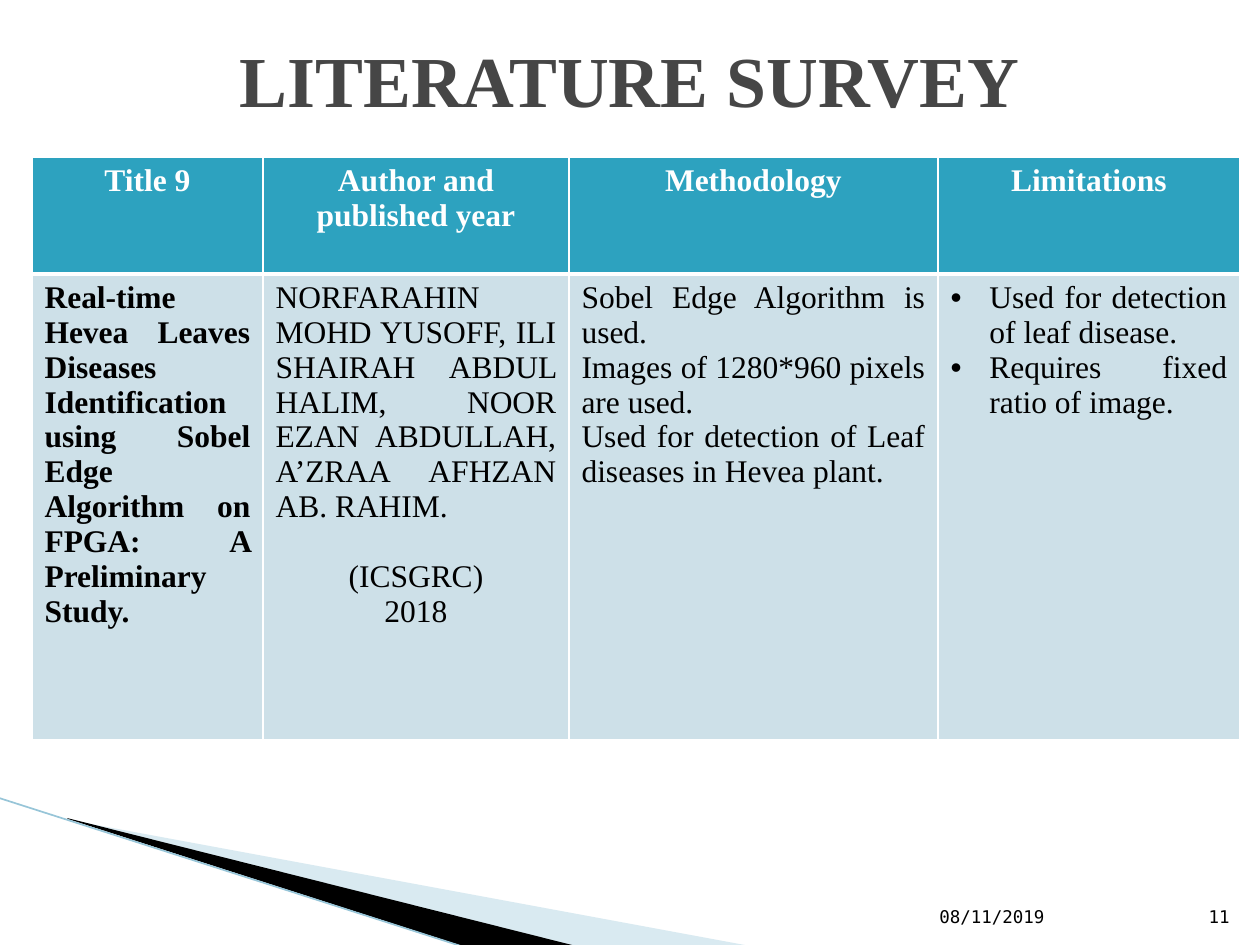
"""Build the literature survey slide with its table and corner swoosh."""
from lxml import etree
from pptx import Presentation
from pptx.dml.color import RGBColor
from pptx.enum.shapes import MSO_CONNECTOR
from pptx.enum.text import MSO_ANCHOR, PP_ALIGN
from pptx.oxml.ns import qn
from pptx.util import Emu, Pt

LEFT, CENTER, RIGHT, JUSTIFY = PP_ALIGN.LEFT, PP_ALIGN.CENTER, PP_ALIGN.RIGHT, PP_ALIGN.JUSTIFY
MIDDLE, BOTTOM = MSO_ANCHOR.MIDDLE, MSO_ANCHOR.BOTTOM
STRAIGHT = MSO_CONNECTOR.STRAIGHT
SCALE = 914400 / 126
SERIF, MONO = "Times New Roman", "DejaVu Sans Mono"
WHITE, BLACK = "FFFFFF", "000000"

TITLE = "LITERATURE SURVEY"
HEADERS = ["Title 9", "Author and published year", "Methodology", "Limitations"]
STUDY = [
    [("Real-time Hevea Leaves Diseases Identification using Sobel Edge Algorithm "
      "on FPGA: A Preliminary Study. ", {"bold": True})],
    [("NORFARAHIN MOHD YUSOFF, ILI SHAIRAH ABDUL HALIM, NOOR EZAN ABDULLAH, "
      "A’ZRAA AFHZAN AB. RAHIM. ", {}),
     ("(ICSGRC)", {"align": CENTER, "before": 20}),
     ("2018", {"align": CENTER})],
    [("Sobel Edge Algorithm is used.", {}),
     ("Images of 1280*960 pixels are used.", {}),
     ("Used for detection of Leaf diseases in Hevea plant.", {})],
    [("Used for detection of leaf disease.", {"bullet": True}),
     ("Requires fixed ratio of image.", {"bullet": True})],
]
COLUMN_WIDTHS = [231, 306, 369, 302]
ROW_HEIGHTS = [117, 466]
FOOTERS = [("11", (1192, 883, 50, 50), RIGHT), ("08/11/2019", (927, 883, 265, 50), LEFT)]
SWOOSHES = [
    ([(69, 820), (750, 946), (575, 946), (69, 819)], "A0CBDC", 40),
    ([(67, 818), (576, 946), (469, 948), (68, 819)], BLACK, 100),
]
SWOOSH_EDGE = (-1, 798, 467, 948)


def px(length):
    return Emu(round(length * SCALE))


def color(value):
    return RGBColor.from_string(value)


def write(paragraph, text, size, font, ink, align, bold=False, before=0, bullet=False):
    if bullet:
        props = paragraph._p.get_or_add_pPr()
        props.set("marL", str(px(39)))
        props.set("indent", str(-px(39)))
        etree.SubElement(props, qn("a:buFont"), typeface="Arial")
        etree.SubElement(props, qn("a:buChar"), char="•")
    paragraph.alignment = align
    if before:
        paragraph.space_before = Pt(before)
    run = paragraph.add_run()
    run.text = text
    run.font.size, run.font.name, run.font.bold = Pt(size), font, bold
    run.font.color.rgb = color(ink)


def border(cell, widths):
    props = cell._tc.get_or_add_tcPr()
    for side, width in zip("LRTB", widths):
        edge = etree.SubElement(props, qn(f"a:ln{side}"), w=str(Pt(width)))
        fill = etree.SubElement(edge, qn("a:solidFill"))
        etree.SubElement(fill, qn("a:srgbClr"), val=WHITE)


def fill_cell(cell, entries, background, ink, align, bold, border_widths):
    border(cell, border_widths)
    cell.fill.solid()
    cell.fill.fore_color.rgb = color(background)
    frame = cell.text_frame
    for index, (text, style) in enumerate(entries):
        paragraph = frame.add_paragraph() if index else frame.paragraphs[0]
        write(paragraph, text, 18, SERIF, ink, **{"align": align, "bold": bold, **style})


def add_swooshes(shapes):
    for points, tint, opacity in SWOOSHES:
        builder = shapes.build_freeform(*points[0], scale=SCALE)
        builder.add_line_segments(points[1:])
        swoosh = builder.convert_to_shape()
        swoosh.shadow.inherit = False
        swoosh.line.fill.background()
        swoosh.fill.solid()
        swoosh.fill.fore_color.rgb = color(tint)
        if opacity < 100:
            shade = swoosh._element.spPr.find(".//" + qn("a:srgbClr"))
            etree.SubElement(shade, qn("a:alpha"), val=str(opacity * 1000))
    edge = shapes.add_connector(STRAIGHT, *map(px, SWOOSH_EDGE))
    edge.line.color.rgb = color("97C5D8")
    edge.line.width = Pt(0.95)
    etree.SubElement(edge._element.spPr, qn("a:effectLst"))


def add_survey(shapes):
    survey = shapes.add_table(2, 4, px(32), px(157), px(sum(COLUMN_WIDTHS)),
                              px(sum(ROW_HEIGHTS))).table
    for row, height in zip(survey.rows, ROW_HEIGHTS):
        row.height = px(height)
    for index, width in enumerate(COLUMN_WIDTHS):
        survey.columns[index].width = px(width)
        fill_cell(survey.cell(0, index), [(HEADERS[index], {})], "2DA2BF", WHITE,
                  CENTER, True, (1, 1, 1, 3))
        fill_cell(survey.cell(1, index), STUDY[index], "CDE0E8", BLACK,
                  JUSTIFY, False, (1, 1, 3, 1))


def main():
    deck = Presentation()
    deck.slide_width, deck.slide_height = px(1260), px(945)
    slide = deck.slides.add_slide(deck.slide_layouts[5])
    shapes = slide.shapes
    add_swooshes(shapes)

    title = shapes.title
    title.left, title.top, title.width, title.height = map(px, (63, 0, 1134, 157))
    title.text_frame.vertical_anchor = MIDDLE
    write(title.text_frame.paragraphs[0], TITLE, 41, SERIF, "464646", CENTER, True)

    for text, place, align in FOOTERS:
        frame = shapes.add_textbox(*map(px, place)).text_frame
        frame.word_wrap = True
        frame.vertical_anchor = BOTTOM
        write(frame.paragraphs[0], text, 10, MONO, BLACK, align)

    add_survey(shapes)
    deck.save("out.pptx")


if __name__ == "__main__":
    main()
